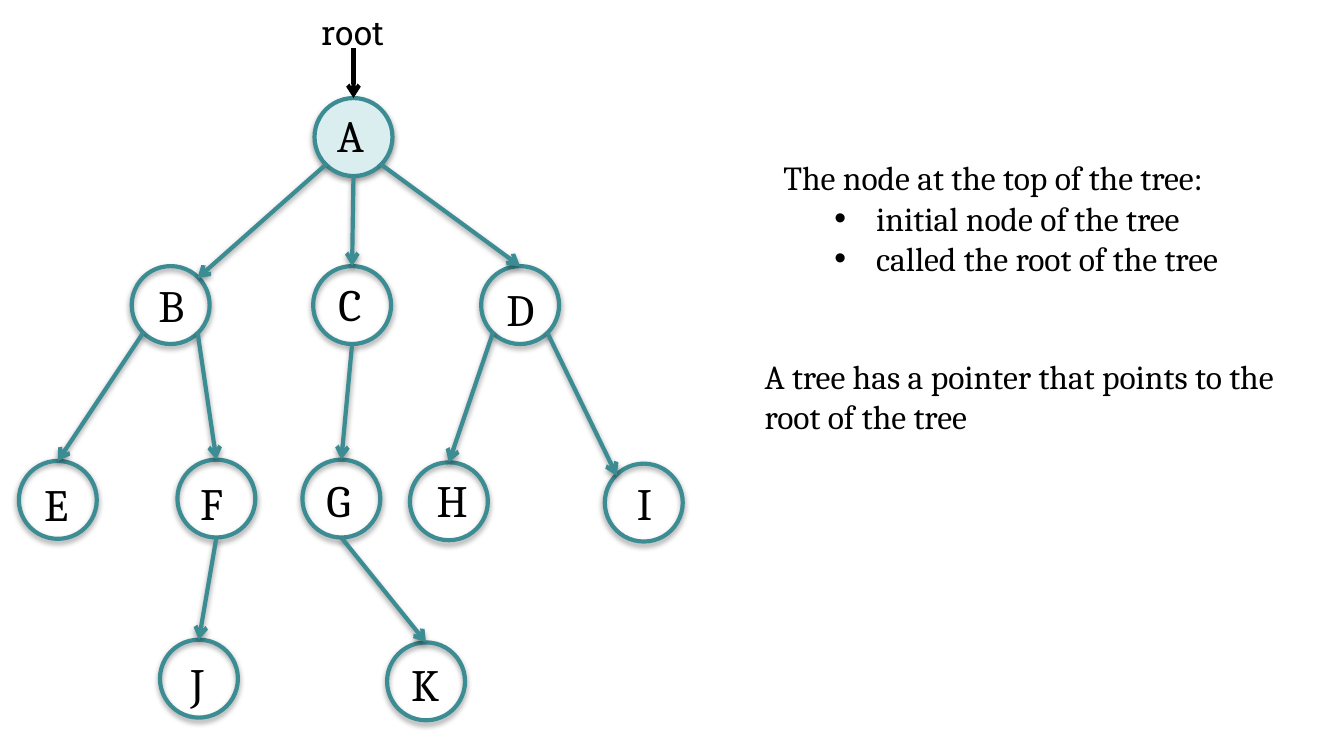
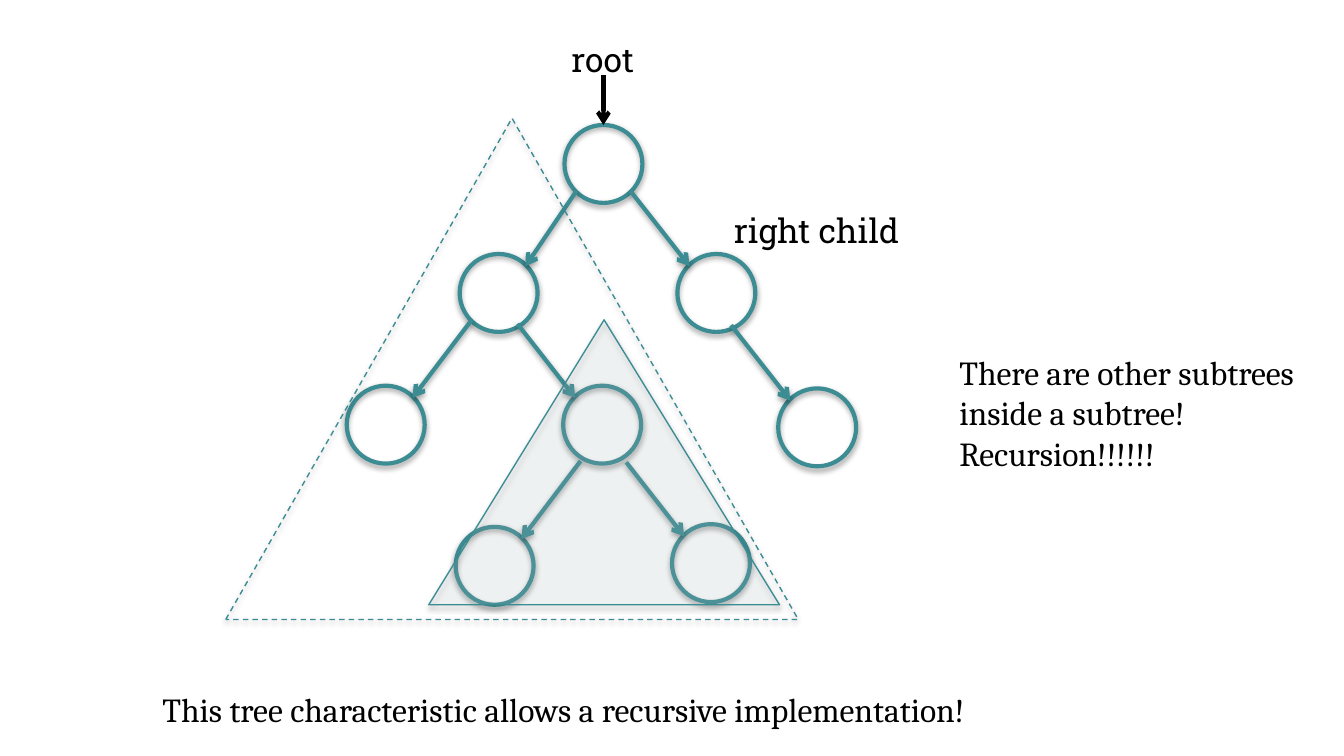
from dataclasses import dataclass

from lxml.etree import SubElement
from pptx import Presentation
from pptx.dml.color import RGBColor as RGB
from pptx.enum.dml import MSO_LINE as DASH
from pptx.enum.shapes import MSO_CONNECTOR as LINK, MSO_SHAPE as SHAPE
from pptx.enum.text import MSO_AUTO_SIZE as FIT, PP_ALIGN as ALIGN
from pptx.oxml.ns import qn
from pptx.util import Pt

PX = 9144  # 100 px to the inch


@dataclass(frozen=True)
class Theme:
    teal: RGB = RGB(0x3C, 0x8C, 0x93)
    pale: RGB = RGB(0xDA, 0xED, 0xEF)
    black: RGB = RGB(0, 0, 0)
    serif: str = "Cambria"
    slab: str = "Roboto Slab"
    body: Pt = Pt(18)
    letter: Pt = Pt(24)
    thick: Pt = Pt(2.25)
    thin: Pt = Pt(0.75)


theme = Theme()
BODY = {"name": theme.serif, "size": theme.body}
LETTER = {"name": theme.serif, "size": theme.letter}
LABEL = {"name": theme.slab, "size": theme.body}


def style_line(shape, color=theme.teal, width=theme.thick, arrow=False, shadow=True):
    shape.line.color.rgb = color
    shape.line.width = width
    properties = shape.element.spPr
    if arrow:
        SubElement(properties.find(qn("a:ln")), qn("a:tailEnd"), type="arrow")
    effects = SubElement(properties, qn("a:effectLst"))
    if shadow:
        outer = SubElement(effects, qn("a:outerShdw"), blurRad="40000", dist="20000",
                           dir="5400000", rotWithShape="0")
        color_node = SubElement(outer, qn("a:srgbClr"), val="000000")
        SubElement(color_node, qn("a:alpha"), val="38000")


def add_text(page, area, lines, look, wrap=False, align=ALIGN.LEFT):
    box = page.shapes.add_textbox(*(value * PX for value in area))
    frame = box.text_frame
    frame.word_wrap = wrap
    frame.auto_size = FIT.SHAPE_TO_FIT_TEXT
    for index, line in enumerate(lines):
        para = frame.paragraphs[0] if index == 0 else frame.add_paragraph()
        para.text = line.removeprefix("• ")
        para.alignment = align
        if line.startswith("• "):
            para.level = 1
            settings = para._p.get_or_add_pPr()
            settings.set("marL", str(69 * PX))
            settings.set("indent", str(-31 * PX))
            SubElement(settings, qn("a:buFont"), typeface="Arial")
            SubElement(settings, qn("a:buChar"), char="•")
        for span in para.runs:
            for name, value in look.items():
                setattr(span.font, name, value)
            span.font.color.rgb = theme.black


# Attachment points on a node, measured from its top left corner
NODE = 58
SITES = {"top": (29, 0), "top left": (9, 9), "top right": (49, 9),
         "bottom": (29, 58), "bottom left": (9, 49), "bottom right": (49, 49)}

# Each tree: node positions (root first), then edges with a nudge of the start
general_tree = {
    "nodes": {"A": (234, 73), "B": (98, 198), "C": (233, 198), "D": (358, 198),
              "E": (14, 343), "F": (132, 342), "G": (225, 342), "H": (305, 344),
              "I": (450, 345), "J": (119, 476), "K": (288, 478)},
    "edges": [("A", "bottom left", "B", "top right", (0, 0)),
              ("A", "bottom", "C", "top", (0, 0)),
              ("A", "bottom right", "D", "top", (0, 0)),
              ("B", "bottom left", "E", "top", (0, 0)),
              ("B", "bottom right", "F", "top", (0, 0)),
              ("C", "bottom", "G", "top", (0, 0)),
              ("D", "bottom left", "H", "top", (0, 0)),
              ("D", "bottom right", "I", "top left", (0, 0)),
              ("F", "bottom", "J", "top", (0, 0)),
              ("G", "bottom", "K", "top", (0, 0))],
}
binary_tree = {
    "nodes": {"root": (420, 93), "left": (342, 189), "right": (504, 189),
              "outer left": (258, 287), "inner": (419, 287), "outer right": (579, 289),
              "inner left": (339, 392), "inner right": (500, 390)},
    "edges": [("root", "bottom left", "left", "top right", (0, 0)),
              ("root", "bottom right", "right", "top left", (0, 0)),
              ("left", "bottom left", "outer left", "top right", (0, 0)),
              ("left", "bottom right", "inner", "top left", (-6, 3)),
              ("right", "bottom right", "outer right", "top left", (-9, 4)),
              ("inner", "bottom left", "inner left", "top right", (4, 7)),
              ("inner", "bottom right", "inner right", "top left", (-2, 8))],
}

# Widescreen deck, 16 to 9
deck = Presentation()
deck.slide_width = 1000 * PX
deck.slide_height = deck.slide_width * 9 // 16
blank = deck.slide_layouts[6]

# Both trees: nodes, edges and the pointer to the root
pages = []
for tree in (general_tree, binary_tree):
    page = deck.slides.add_slide(blank)
    pages.append(page)
    nodes = tree["nodes"]
    for name, (left, top) in nodes.items():
        circle = page.shapes.add_shape(SHAPE.OVAL, left * PX, top * PX, NODE * PX, NODE * PX)
        if name == "A":
            circle.fill.solid()
            circle.fill.fore_color.rgb = theme.pale
        else:
            circle.fill.background()
        style_line(circle)
    for parent, start, child, end, nudge in tree["edges"]:
        begin = [sum(parts) * PX for parts in zip(nodes[parent], SITES[start], nudge)]
        finish = [sum(parts) * PX for parts in zip(nodes[child], SITES[end])]
        edge = page.shapes.add_connector(LINK.STRAIGHT, *begin, *finish)
        style_line(edge, arrow=True)
    left, top = next(iter(nodes.values()))
    middle = left + NODE // 2
    pointer = page.shapes.add_connector(
        LINK.STRAIGHT, middle * PX, (top - 37) * PX, middle * PX, top * PX)
    style_line(pointer, color=theme.black, arrow=True, shadow=False)
    add_text(page, (middle - 34, top - 69, 67, 40), ["root"], LABEL, align=ALIGN.CENTER)

root_page, subtree_page = pages

# Slide 1: node letters and explanation
letters = {"A": (241, 75, 40), "B": (108, 202, 39), "C": (242, 201, 38),
           "D": (367, 205, 41), "E": (23, 350, 37), "F": (139, 349, 36),
           "G": (233, 347, 41), "H": (315, 347, 41), "I": (464, 349, 29),
           "J": (132, 483, 31), "K": (296, 484, 38)}
for letter, (left, top, width) in letters.items():
    add_text(root_page, (left, top, width, 50), [letter], LETTER)
add_text(root_page, (573, 112, 349, 101),
         ["The node at the top of the tree:",
          "• initial node of the tree",
          "• called the root of the tree"], BODY)
add_text(root_page, (559, 260, 422, 71),
         ["A tree has a pointer that points to the root of the tree"], BODY, wrap=True)

# Slide 2: outer and inner subtree
outer = subtree_page.shapes.add_shape(
    SHAPE.ISOSCELES_TRIANGLE, 168 * PX, 88 * PX, 426 * PX, 373 * PX)
outer.fill.background()
outer.line.dash_style = DASH.DASH
inner = subtree_page.shapes.add_shape(
    SHAPE.ISOSCELES_TRIANGLE, 319 * PX, 238 * PX, 261 * PX, 212 * PX)
inner.fill.solid()
inner.fill.fore_color.rgb = theme.pale
tint = inner.element.spPr.find(qn("a:solidFill")).find(qn("a:srgbClr"))
SubElement(tint, qn("a:alpha"), val="13000")
for triangle in (outer, inner):
    style_line(triangle, width=theme.thin)

# Slide 2: captions
add_text(subtree_page, (535, 151, 145, 40), ["right child"], LABEL, align=ALIGN.CENTER)
add_text(subtree_page, (704, 257, 296, 101),
         ["There are other subtrees inside a subtree!", "Recursion!!!!!!"], BODY, wrap=True)
add_text(subtree_page, (111, 508, 631, 40),
         ["This tree characteristic allows a recursive implementation!"], BODY, wrap=True)

deck.save("out.pptx")
